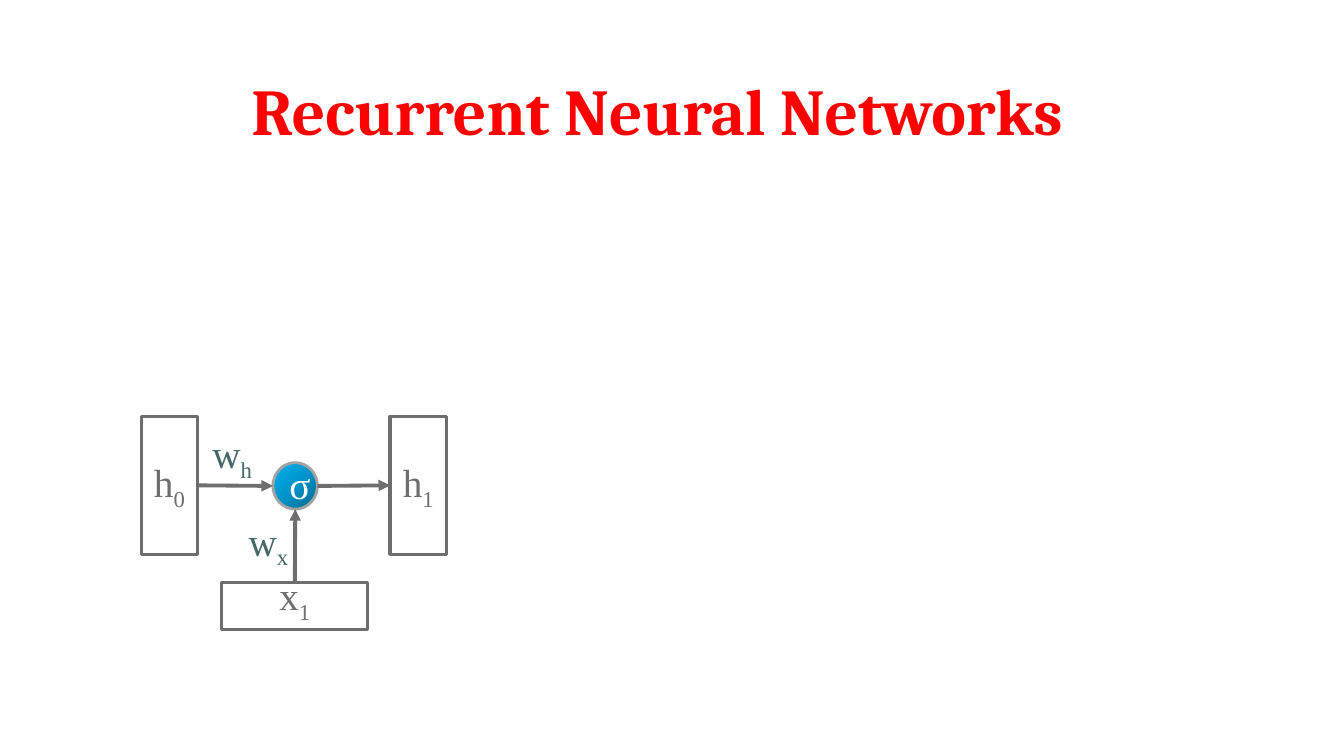
from copy import deepcopy

from lxml import etree
from pptx import Presentation
from pptx.dml.color import RGBColor
from pptx.enum import shapes, text
from pptx.oxml import ns
from pptx.util import Cm, Pt

# Content: lengths in cm, boxes as left, top, width, height
TITLE = "Recurrent Neural Networks"
TITLE_BOX = (0.94, 1.45, 31.24, 2.59)
COLORS = {"title": "FF0000", "weight": "456968", "gray": "6E6E6E",
          "white": "FFFFFF", "rim": "A3A3A3"}
GRADIENT = [(0, "00688E"), (0.5, "0094CA"), (1, "00B0F0")]
WEIGHTS = [("w", "x", (5.84, 12.9, 1.85, 2.24)),
           ("w", "h", (4.93, 10.69, 1.85, 2.24))]
STATES = [("x", "1", (5.59, 14.68, 3.68, 1.19), text.MSO_ANCHOR.BOTTOM),
          ("h", "0", (3.56, 10.49, 1.42, 3.48), text.MSO_ANCHOR.MIDDLE),
          ("h", "1", (9.83, 10.49, 1.42, 3.48), text.MSO_ANCHOR.MIDDLE)]
NEURON = ("σ", "", (6.88, 11.66, 1.12, 1.17))


def rgb(value):
    return RGBColor.from_string(value)


def write_symbol(shape, symbol, subscript, color):
    """Centred symbol with an optional subscript."""
    frame = shape.text_frame
    frame.word_wrap = True
    paragraph = frame.paragraphs[0]
    paragraph.alignment = text.PP_ALIGN.CENTER
    for part in filter(None, (symbol, subscript)):
        run = paragraph.add_run()
        run.text = part
        run.font.size = Pt(28)
        run.font.name = "Times New Roman"
        run.font.color.rgb = rgb(color)
        if part == subscript:
            run.font._element.set("baseline", "-25000")


def add_node(slide, kind, box, line_color, line_width):
    shape = slide.shapes.add_shape(kind, *map(Cm, box))
    shape.shadow.inherit = False
    shape.line.color.rgb = rgb(line_color)
    shape.line.width = Pt(line_width)
    return shape


def add_arrow(slide, start, end):
    arrow = slide.shapes.add_connector(
        shapes.MSO_CONNECTOR.STRAIGHT, *start, *end)
    arrow.line.color.rgb = rgb(COLORS["gray"])
    arrow.line.width = Pt(2.75)
    etree.SubElement(arrow.line._get_or_add_ln(), ns.qn("a:tailEnd"),
                     type="triangle")
    etree.SubElement(arrow._element.spPr, ns.qn("a:effectLst"))


def side(shape, across, down):
    """Point on a shape, given as fractions of its width and height."""
    return (int(shape.left + across * shape.width),
            int(shape.top + down * shape.height))


def main():
    presentation = Presentation()
    presentation.slide_width, presentation.slide_height = Cm(33.87), Cm(19.05)
    slide = presentation.slides.add_slide(presentation.slide_layouts[5])

    # Title
    title = slide.shapes.title
    title.left, title.top, title.width, title.height = map(Cm, TITLE_BOX)
    title.text_frame.text = TITLE
    title.text_frame.auto_size = text.MSO_AUTO_SIZE.NONE
    paragraph = title.text_frame.paragraphs[0]
    paragraph.alignment = text.PP_ALIGN.CENTER
    font = paragraph.runs[0].font
    font.name, font.size, font.bold = "Cambria", Pt(46.7), True
    font.color.rgb = rgb(COLORS["title"])

    # Weight labels
    for symbol, subscript, box in WEIGHTS:
        label = slide.shapes.add_textbox(*map(Cm, box))
        write_symbol(label, symbol, subscript, COLORS["weight"])

    # Input and hidden states
    states = []
    for symbol, subscript, box, anchor in STATES:
        state = add_node(slide, shapes.MSO_SHAPE.RECTANGLE, box,
                         COLORS["gray"], 2.25)
        state.fill.solid()
        state.fill.fore_color.rgb = rgb(COLORS["white"])
        state.text_frame.vertical_anchor = anchor
        write_symbol(state, symbol, subscript, COLORS["gray"])
        states.append(state)
    input_box, hidden_before, hidden_after = states

    # Neuron with a three-stop gradient
    symbol, subscript, box = NEURON
    neuron = add_node(slide, shapes.MSO_SHAPE.OVAL, box, COLORS["rim"], 2)
    neuron.fill.gradient()
    neuron.fill.gradient_angle = 135
    stop_list = neuron._element.spPr.find(".//" + ns.qn("a:gsLst"))
    stop_list.append(deepcopy(stop_list[0]))
    for stop, (position, color) in zip(neuron.fill.gradient_stops, GRADIENT):
        stop.position = position
        stop.color.rgb = rgb(color)
    frame = neuron.text_frame
    frame.vertical_anchor = text.MSO_ANCHOR.MIDDLE
    frame.margin_left = frame.margin_right = frame.margin_bottom = Cm(0.25)
    frame.margin_top = Cm(0.13)
    write_symbol(neuron, symbol, subscript, COLORS["white"])

    # Arrows into and out of the neuron
    add_arrow(slide, side(hidden_before, 1, 0.5), side(neuron, 0, 0.5))
    add_arrow(slide, side(input_box, 0.5, 0), side(neuron, 0.5, 1))
    add_arrow(slide, side(neuron, 1, 0.5), side(hidden_after, 0, 0.5))

    presentation.save("out.pptx")


if __name__ == "__main__":
    main()
